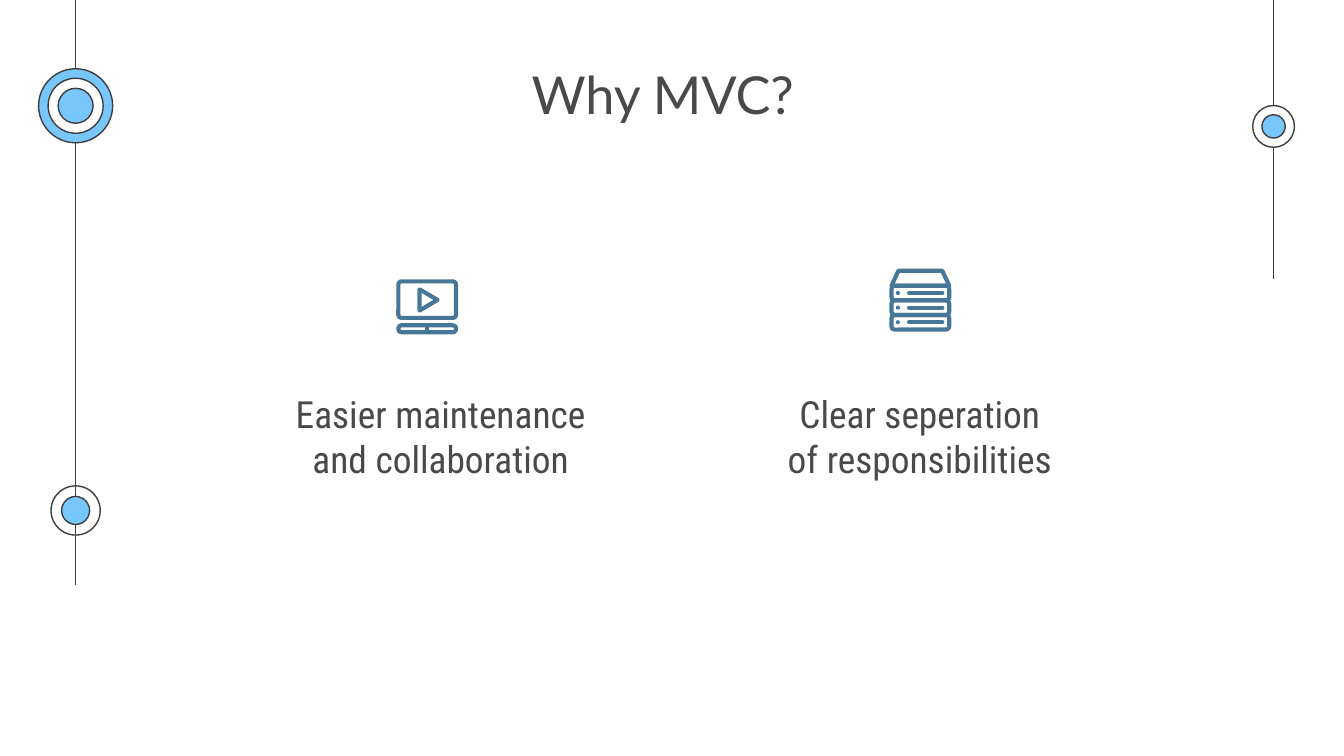
from lxml.etree import SubElement
from pptx import Presentation
from pptx.dml.color import RGBColor
from pptx.enum.shapes import MSO_CONNECTOR, MSO_SHAPE
from pptx.enum.text import MSO_ANCHOR, PP_ALIGN
from pptx.oxml.ns import qn
from pptx.util import Cm, Pt

DARK = RGBColor(0x3D, 0x3D, 0x3D)
TEXT = RGBColor(0x49, 0x49, 0x49)
SKY = RGBColor(0x77, 0xC6, 0xFC)
WHITE = RGBColor(0xFF, 0xFF, 0xFF)
STEEL = RGBColor(0x47, 0x77, 0x97)
ICON_WEIGHT = 2.25
CORNER = 0.06


def style(shape, fill, color, weight):
    shape.shadow.inherit = False
    if fill is None:
        shape.fill.background()
    else:
        shape.fill.solid()
        shape.fill.fore_color.rgb = fill
    shape.line.color.rgb = color
    shape.line.width = Pt(weight)


def round_ends(shape):
    outline = shape._element.spPr.find(qn("a:ln"))
    outline.set("cap", "rnd")
    SubElement(outline, qn("a:round"))


def add_line(slide, x1, y1, x2, y2, color=DARK, weight=0.75):
    line = slide.shapes.add_connector(
        MSO_CONNECTOR.STRAIGHT, Cm(x1), Cm(y1), Cm(x2), Cm(y2))
    line.line.color.rgb = color
    line.line.width = Pt(weight)
    SubElement(line._element.spPr, qn("a:effectLst"))
    return line


def add_circle(slide, x, y, diameter, fill, color=DARK, weight=0.75):
    circle = slide.shapes.add_shape(
        MSO_SHAPE.OVAL, Cm(x - diameter / 2), Cm(y - diameter / 2),
        Cm(diameter), Cm(diameter))
    style(circle, fill, color, weight)


def add_icon_panel(slide, left, top, width, height):
    panel = slide.shapes.add_shape(
        MSO_SHAPE.ROUNDED_RECTANGLE, Cm(left), Cm(top), Cm(width), Cm(height))
    panel.adjustments[0] = min(0.5, CORNER / min(width, height))
    style(panel, None, STEEL, ICON_WEIGHT)


def add_icon_outline(slide, left, top, points):
    corners = [(Cm(left + x), Cm(top + y)) for x, y in points]
    builder = slide.shapes.build_freeform(*corners[0])
    builder.add_line_segments(corners[1:], close=True)
    outline = builder.convert_to_shape()
    style(outline, None, STEEL, ICON_WEIGHT)
    round_ends(outline)


def add_timeline(slide, x, length, nodes):
    add_line(slide, x, 0, x, length)
    for y, rings in nodes:
        for diameter, fill in rings:
            add_circle(slide, x, y, diameter, fill)


def add_text(slide, left, top, width, height, text, font, size,
             anchor=MSO_ANCHOR.TOP):
    box = slide.shapes.add_textbox(Cm(left), Cm(top), Cm(width), Cm(height))
    frame = box.text_frame
    frame.word_wrap = True
    frame.vertical_anchor = anchor
    frame.margin_left = frame.margin_right = Cm(0.25)
    frame.margin_top = frame.margin_bottom = Cm(0.25)
    paragraph = frame.paragraphs[0]
    paragraph.text = text
    paragraph.alignment = PP_ALIGN.CENTER
    paragraph.font.name = font
    paragraph.font.size = Pt(size)
    paragraph.font.color.rgb = TEXT


def add_computer_icon(slide, left, top, width=1.17, height=1.04):
    inset = 0.04
    inner = width - 2 * inset
    bar = 0.13
    bar_top = top + height - inset - bar
    middle = left + width / 2
    add_icon_panel(slide, left + inset, top + inset, inner, 0.69)
    add_icon_panel(slide, left + inset, bar_top, inner, bar)
    add_line(slide, middle, bar_top, middle, bar_top + bar, STEEL, ICON_WEIGHT)
    add_icon_outline(slide, left, top, [(0.44, 0.19), (0.78, 0.39), (0.44, 0.59)])


def add_server_icon(slide, left, top, width=1.17, height=1.19):
    inset, lid = 0.04, 0.32
    unit = (height - inset - lid) / 3
    add_icon_outline(slide, left, top, [
        (inset, lid), (0.17, inset), (width - 0.17, inset), (width - inset, lid)])
    for row in range(3):
        unit_top = top + lid + row * unit
        middle = unit_top + unit / 2
        add_icon_panel(slide, left + inset, unit_top, width - 2 * inset, unit)
        add_circle(slide, left + 0.16, middle, 0.05, STEEL, STEEL, 0.75)
        slot = add_line(slide, left + 0.37, middle, left + 1, middle,
                        STEEL, ICON_WEIGHT)
        round_ends(slot)


def add_reason(slide, left, top, width, height, text):
    add_text(slide, left, top, width, height, text, "Roboto Condensed", 20)


def main():
    presentation = Presentation()
    presentation.slide_width = Cm(25.4)
    presentation.slide_height = Cm(14.29)
    slide = presentation.slides.add_slide(presentation.slide_layouts[6])
    add_timeline(slide, 1.43, 11.05, [
        (2.0, [(1.4, SKY), (1.04, WHITE), (0.66, SKY)]),
        (9.65, [(0.93, None), (0.53, SKY)])])
    add_timeline(slide, 24.07, 5.28, [(2.39, [(0.79, WHITE), (0.44, SKY)])])
    add_text(slide, 4.78, 0.94, 15.49, 1.65, "Why MVC?", "Lato", 28,
             MSO_ANCHOR.MIDDLE)
    add_computer_icon(slide, 7.49, 5.28)
    add_reason(slide, 5.23, 7.14, 6.2, 2.57, "Easier maintenance and collaboration")
    add_server_icon(slide, 16.81, 5.08)
    add_reason(slide, 14.6, 7.14, 5.57, 2.57, "Clear seperation of responsibilities")
    presentation.save("out.pptx")


if __name__ == "__main__":
    main()
